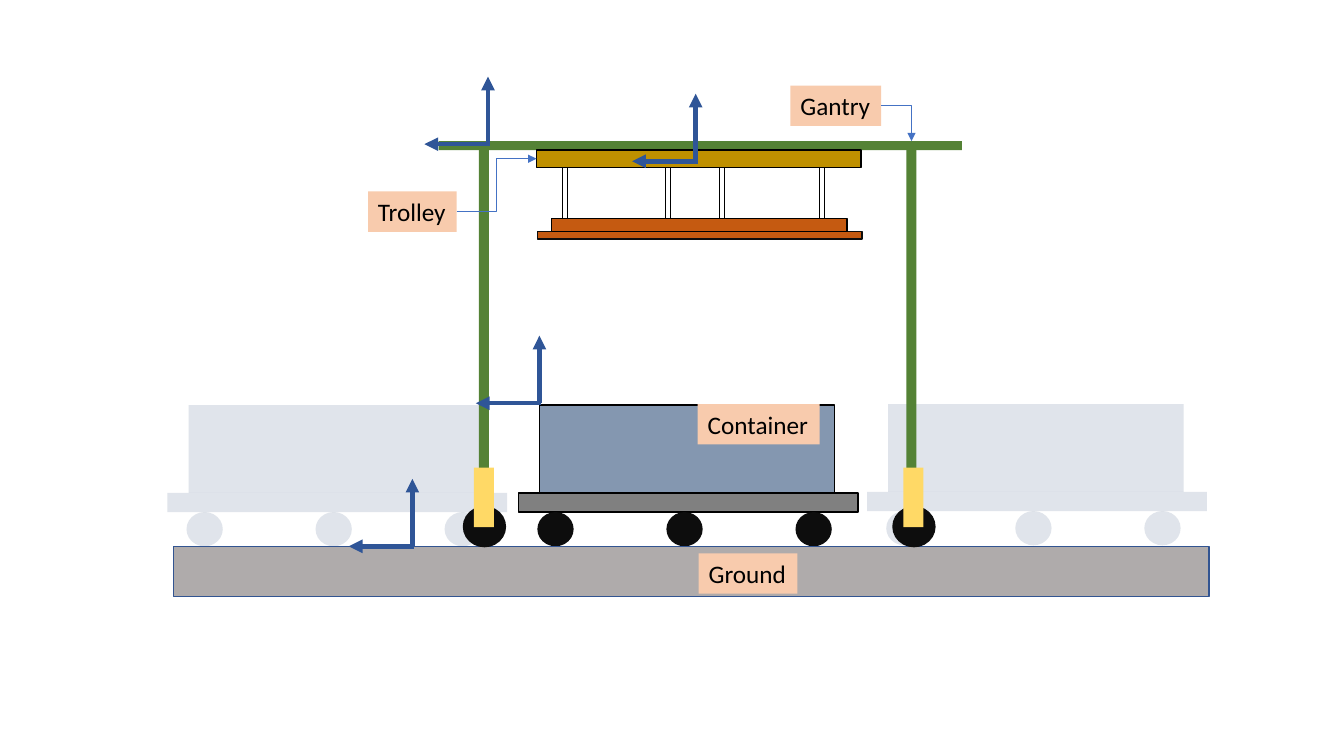
"""Draw a gantry crane over rail wagons with its coordinate frames."""
import pptx
import pptx.util
import pptx.dml.color
import pptx.enum.shapes
import pptx.enum.text
import pptx.oxml
import pptx.oxml.ns

Inches = pptx.util.Inches
Pt = pptx.util.Pt
RGBColor = pptx.dml.color.RGBColor
SHAPE = pptx.enum.shapes.MSO_SHAPE
CONNECTOR = pptx.enum.shapes.MSO_CONNECTOR
qn = pptx.oxml.ns.qn

COLORS = {
    "container": "8497B0", "wagon": "808080", "wheel": "0D0D0D",
    "ground": "AFABAB", "ground edge": "325491", "gantry": "548235",
    "leg": "FFD966", "trolley": "BF9000", "spreader": "C55A11",
    "axis": "2F5597", "pointer": "4472C4", "label": "F8CBAD", "black": "000000",
}

deck = pptx.Presentation()
deck.slide_width, deck.slide_height = Inches(13.33), Inches(7.5)
page = deck.slides.add_slide(deck.slide_layouts[6])


def add_block(kind, left, top, width, height, fill, edge=None, opacity=100):
    block = page.shapes.add_shape(
        kind, Inches(left), Inches(top), Inches(width), Inches(height))
    block.shadow.inherit = False
    block.fill.solid()
    block.fill.fore_color.rgb = RGBColor.from_string(COLORS[fill])
    if opacity < 100:
        color = block.fill._xPr.find(qn("a:solidFill"))[0]
        alpha = pptx.oxml.parse_xml(
            f'<a:alpha {pptx.oxml.ns.nsdecls("a")} val="{opacity * 1000}"/>')
        color.append(alpha)
    if edge:
        block.line.color.rgb = RGBColor.from_string(COLORS[edge])
        block.line.width = Pt(1)
    else:
        block.line.fill.background()
    return block


def add_line(kind, start, end, color, width, arrow=True):
    line = page.shapes.add_connector(
        kind, Inches(start[0]), Inches(start[1]), Inches(end[0]), Inches(end[1]))
    line.line.color.rgb = RGBColor.from_string(COLORS[color])
    line.line.width = Pt(width)
    if arrow:
        line.line._get_or_add_ln().append(pptx.oxml.parse_xml(
            f'<a:tailEnd {pptx.oxml.ns.nsdecls("a")} type="triangle"/>'))
    line._element.spPr.append(pptx.oxml.parse_xml(
        f'<a:effectLst {pptx.oxml.ns.nsdecls("a")}/>'))
    return line


for left, top, ghost in [(1.66, 4.89, True), (8.6, 4.88, True), (5.14, 4.89, False)]:
    edge = None if ghost else "black"
    opacity = 25 if ghost else 100
    bed_fill, wheel_fill = ("container", "container") if ghost else ("wagon", "wheel")
    add_block(SHAPE.RECTANGLE, left + 0.21, top - 0.87, 2.93, 0.87,
              "container", edge, opacity)
    add_block(SHAPE.RECTANGLE, left, top, 3.37, 0.19, bed_fill, edge, opacity)
    for index in range(3):
        add_block(SHAPE.OVAL, left + 0.19 + 1.28 * index, top + 0.19, 0.36, 0.34,
                  wheel_fill, None, opacity)

add_block(SHAPE.RECTANGLE, 1.72, 5.42, 10.27, 0.5, "ground", "ground edge")

add_block(SHAPE.RECTANGLE, 4.35, 1.4, 5.19, 0.09, "gantry")
for post_left, wheel_left in [(4.75, 4.59), (8.99, 8.85)]:
    post = add_block(SHAPE.RECTANGLE, post_left, 1.4, 0.1, 3.41, "gantry")
    add_block(SHAPE.OVAL, wheel_left, 5.02, 0.43, 0.41, "wheel")
    add_block(SHAPE.RECTANGLE, wheel_left + 0.11, 4.64, 0.2, 0.59, "leg")

trolley = add_block(SHAPE.RECTANGLE, 5.32, 1.49, 3.22, 0.17, "trolley", "black")
add_block(SHAPE.RECTANGLE, 5.33, 2.3, 3.22, 0.07, "spreader", "wheel")
for rope_pair in (5.58, 6.6, 7.13, 8.13):
    for rope in (rope_pair, rope_pair + 0.05):
        add_line(CONNECTOR.STRAIGHT, (rope, 2.18), (rope, 1.67), "black", 0.5, False)
add_block(SHAPE.RECTANGLE, 5.47, 2.17, 2.93, 0.13, "spreader", "black")

for x, y in [(6.9, 1.6), (4.09, 5.42), (4.84, 1.43), (5.35, 4)]:
    add_line(CONNECTOR.STRAIGHT, (x + 0.02, y), (x - 0.63, y), "axis", 3.25)
    add_line(CONNECTOR.STRAIGHT, (x, y), (x, y - 0.67), "axis", 3.25)

labels = {}
for text, left, top, width in [
        ("Ground", 6.93, 5.49, 0.98), ("Container", 6.92, 4.01, 1.21),
        ("Trolley", 3.65, 1.9, 0.88), ("Gantry", 7.84, 0.85, 0.9)]:
    box = page.shapes.add_textbox(Inches(left), Inches(top), Inches(width), Inches(0.4))
    box.fill.solid()
    box.fill.fore_color.rgb = RGBColor.from_string(COLORS["label"])
    box.text_frame.word_wrap = False
    box.text_frame.auto_size = pptx.enum.text.MSO_AUTO_SIZE.SHAPE_TO_FIT_TEXT
    para = box.text_frame.paragraphs[0]
    para.text = text
    para.font.name = "Calibri"
    para.font.size = Pt(18)
    para.font.color.rgb = RGBColor.from_string(COLORS["black"])
    labels[text] = box

gantry_pointer = add_line(CONNECTOR.ELBOW, (8.74, 1.05), (9.04, 1.4), "pointer", 0.5)
gantry_pointer._element.spPr.find(qn("a:prstGeom")).set("prst", "bentConnector2")
gantry_pointer.begin_connect(labels["Gantry"], 3)
gantry_pointer.end_connect(post, 0)

trolley_pointer = add_line(CONNECTOR.ELBOW, (4.53, 2.1), (5.32, 1.57), "pointer", 0.5)
trolley_pointer.begin_connect(labels["Trolley"], 3)
trolley_pointer.end_connect(trolley, 1)

deck.save("out.pptx")
